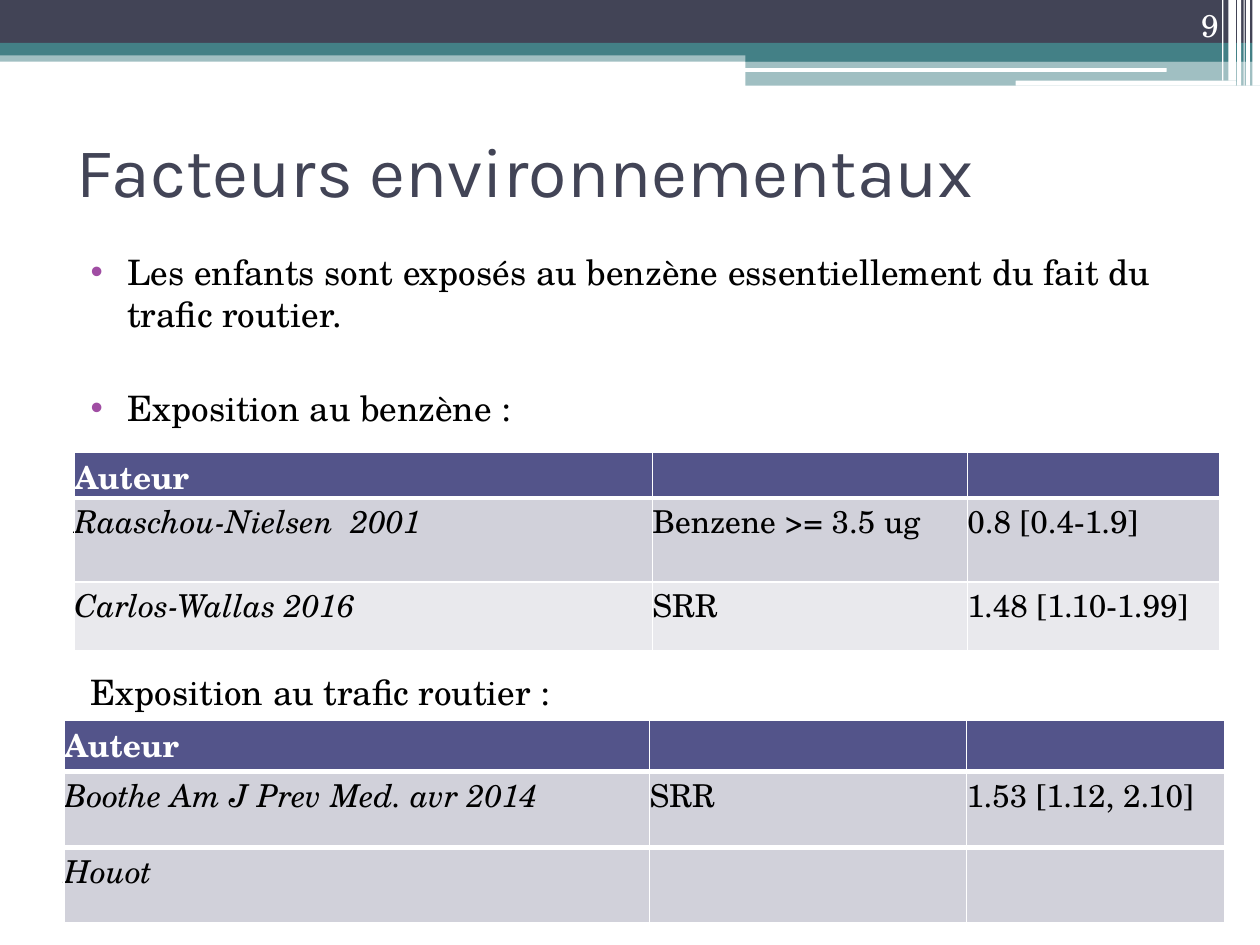
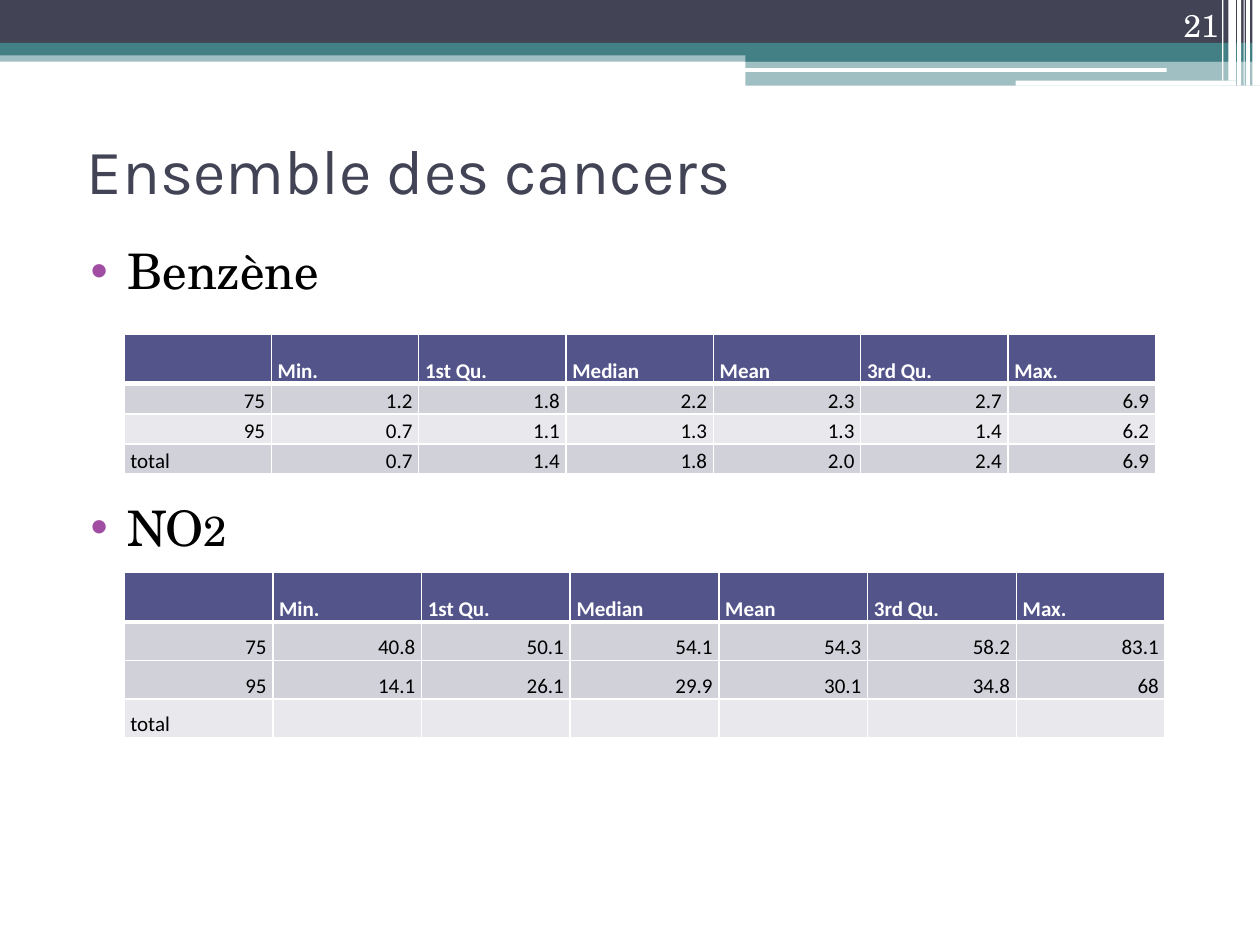
"""Build two slides on environmental exposure, with tables under a banded header."""
from lxml import etree
from pptx import Presentation
from pptx.dml.color import RGBColor
from pptx.enum.shapes import MSO_SHAPE
from pptx.enum.text import MSO_ANCHOR, MSO_AUTO_SIZE, PP_ALIGN
from pptx.oxml.ns import qn
from pptx.util import Pt

RECT, ROUND = MSO_SHAPE.RECTANGLE, MSO_SHAPE.ROUNDED_RECTANGLE
LEFT, RIGHT = PP_ALIGN.LEFT, PP_ALIGN.RIGHT
TOP, MID, LOW = MSO_ANCHOR.TOP, MSO_ANCHOR.MIDDLE, MSO_ANCHOR.BOTTOM
FIXED = MSO_AUTO_SIZE.NONE

INK, TEAL, WHITE, BLACK = "424456", "438086", "FFFFFF", "000000"
HEAD, DARK, PALE, DOT = "53548A", "D1D1DA", "E9E9ED", "A04DA3"
SANS, SERIF, GRID = "Karla", "TeX Gyre Schola", "Calibri"

BANDS = [
    (RECT, 0, 28.8, 720, 6.5, TEAL, 50),
    (RECT, 0, 0, 720, 24.5, INK, 100),
    (RECT, 0, 24.5, 720, 7.2, TEAL, 100),
    (RECT, 426, 28, 294, 7.2, TEAL, 100),
    (RECT, 426, 34.8, 294, 14.2, TEAL, 50),
    (ROUND, 425.5, 38.9, 241.2, 2.2, WHITE, 100),
    (ROUND, 580.3, 46.1, 126, 2.9, WHITE, 100),
]
STRIPS = [(715.7, 4.3, 49), (712.1, 2.2, 49), (710.6, 0.7, 49),
          (707, 2.2, 49), (702, 4.3, 46.1), (698.4, 0.7, 46.1)]
BANDS += [(RECT, x, 0, w, h, WHITE, 100) for x, w, h in STRIPS]

STATS = ["", "Min.", "1st Qu.", "Median", "Mean", "3rd Qu.", "Max."]
PROSE = dict(font=SERIF, size=18, pad=0, anchor=TOP, stat=False)
FIGURES = dict(font=GRID, size=12, pad=3.6, anchor=LOW, stat=True)

SLIDES = [
    dict(
        number="9", title="Facteurs environnementaux", left=36.7, size=40,
        top=139.5, text=20,
        body=[
            (["Les enfants sont exposés au benzène essentiellement "
              "du fait du trafic routier."], 0, True),
            (["Exposition au benzène :"], 30, True),
            (["Exposition au trafic routier :"], 138, False),
        ],
        tables=[
            dict(PROSE, at=(42.5, 258.5), cols=[330.3, 180, 144.3],
                 rows=[26, 48, 39.6], edges=[1, 3, 1, 1],
                 fills=[HEAD, DARK, PALE], lead=1, cells=[
                     ["Auteur", "", ""],
                     ["Raaschou-Nielsen  2001", "Benzene >= 3.5 ug",
                      "0.8 [0.4-1.9]"],
                     ["Carlos-Wallas 2016", "SRR", "1.48 [1.10-1.99]"]]),
            dict(PROSE, at=(36.7, 411.8), cols=[334.5, 181.2, 147.3],
                 rows=[29.2, 43.2, 43.2], edges=[1, 3, 3, 1],
                 fills=[HEAD, DARK, DARK], lead=1, cells=[
                     ["Auteur", "", ""],
                     ["Boothe Am J Prev Med. avr 2014", "SRR",
                      "1.53 [1.12, 2.10]"],
                     ["Houot", "", ""]]),
        ]),
    dict(
        number="21", title="Ensemble des cancers", left=42.5, size=36,
        top=134, text=28,
        body=[(["Benzène"], 0, True), (["NO", "2"], 113, True)],
        tables=[
            dict(FIGURES, at=(70.9, 190.8), cols=[84.2] * 7,
                 rows=[28.5] + [17.2] * 3, edges=[1, 3, 1, 1, 1],
                 fills=[HEAD, DARK, PALE, DARK], lead=1.15, cells=[
                     STATS,
                     ["75", "1.2", "1.8", "2.2", "2.3", "2.7", "6.9"],
                     ["95", "0.7", "1.1", "1.3", "1.3", "1.4", "6.2"],
                     ["total", "0.7", "1.4", "1.8", "2.0", "2.4", "6.9"]]),
            dict(FIGURES, at=(70.9, 327), cols=[85] * 7,
                 rows=[28.5] + [22] * 3, edges=[1, 3, 1, 1, 1],
                 fills=[HEAD, DARK, DARK, PALE], lead=1.5, cells=[
                     STATS,
                     ["75", "40.8", "50.1", "54.1", "54.3", "58.2", "83.1"],
                     ["95", "14.1", "26.1", "29.9", "30.1", "34.8", "68"],
                     ["total"] + [""] * 6]),
        ]),
]


def rgb(code):
    return RGBColor.from_string(code)


def sub(node, tag, **attrs):
    return etree.SubElement(node, qn(tag), attrs)


def style(run, font, size, color, bold=False, slant=False):
    face = run.font
    face.name, face.size = font, Pt(size)
    face.bold, face.italic = bold, slant
    face.color.rgb = rgb(color)


def place(shape, *box):
    shape.left, shape.top, shape.width, shape.height = map(Pt, box)


def add_bands(slide, layout):
    for kind, x, y, w, h, color, alpha in BANDS:
        band = slide.shapes.add_shape(kind, Pt(x), Pt(y), Pt(w), Pt(h))
        band.shadow.inherit = False
        band.fill.solid()
        band.fill.fore_color.rgb = rgb(color)
        band.line.fill.background()
        if alpha < 100:
            tone = band.element.spPr.find(".//" + qn("a:srgbClr"))
            sub(tone, "a:alpha", val=str(alpha * 1000))
        layout.shapes.element.append(band.element)


def add_title(slide, data):
    title = slide.shapes.title
    place(title, data["left"], 54.7, 648, 84.3)
    frame = title.text_frame
    frame.text = data["title"]
    frame.auto_size, frame.vertical_anchor = FIXED, MID
    para = frame.paragraphs[0]
    para.alignment = LEFT
    style(para.runs[0], SANS, data["size"], INK)


def add_body(slide, data):
    body = slide.placeholders[1]
    place(body, 36.7, data["top"], 648, 340.6)
    frame = body.text_frame
    frame.auto_size, frame.vertical_anchor = FIXED, TOP
    for i, (parts, gap, dot) in enumerate(data["body"]):
        para = frame.add_paragraph() if i else frame.paragraphs[0]
        para.space_before = Pt(gap)
        props = para._p.get_or_add_pPr()
        props.set("marL", str(Pt(28.8)))
        props.set("indent", str(Pt(-20.9)))
        if dot:
            sub(sub(props, "a:buClr"), "a:srgbClr", val=DOT)
            sub(props, "a:buFont", typeface="Arial")
            sub(props, "a:buChar", char="•")
        else:
            sub(props, "a:buNone")
        for j, part in enumerate(parts):
            run = para.add_run()
            run.text = part
            style(run, SERIF, data["text"] - 4 * j, BLACK)


def add_number(slide, text):
    box = slide.shapes.add_textbox(Pt(643.7), Pt(0), Pt(59.8), Pt(28.8))
    frame = box.text_frame
    frame.text = text
    frame.word_wrap, frame.vertical_anchor = True, LOW
    para = frame.paragraphs[0]
    para.alignment = RIGHT
    style(para.runs[0], SERIF, 18, WHITE)


def set_edges(cell, top, low):
    props = cell._tc.get_or_add_tcPr()
    for side, width in zip("LRTB", (1, 1, top, low)):
        line = sub(props, "a:ln" + side, w=str(Pt(width)))
        sub(sub(line, "a:solidFill"), "a:srgbClr", val=WHITE)


def fill_cell(cell, text, data, r, c):
    set_edges(cell, *data["edges"][r:r + 2])
    cell.fill.solid()
    cell.fill.fore_color.rgb = rgb(data["fills"][r])
    cell.margin_left = cell.margin_right = Pt(data["pad"])
    cell.margin_top = cell.margin_bottom = 0
    cell.vertical_anchor = data["anchor"]
    cell.text = text
    para = cell.text_frame.paragraphs[0]
    stat = data["stat"]
    para.alignment = RIGHT if stat and r and text != "total" else LEFT
    if stat:
        para.line_spacing = data["lead"] if r and c else 1.15
    if not text:
        sub(para._p, "a:endParaRPr", sz=str(data["size"] * 100))
    for run in para.runs:
        style(run, data["font"], data["size"], BLACK if r else WHITE,
              r == 0, r > 0 and c == 0 and not stat)


def add_grid(slide, data):
    cols, rows = data["cols"], data["rows"]
    x, y = data["at"]
    table = slide.shapes.add_table(len(rows), len(cols), Pt(x), Pt(y),
                                   Pt(sum(cols)), Pt(sum(rows))).table
    for col, width in zip(table.columns, cols):
        col.width = Pt(width)
    for row, height in zip(table.rows, rows):
        row.height = Pt(height)
    for r, line in enumerate(data["cells"]):
        for c, text in enumerate(line):
            fill_cell(table.cell(r, c), text, data, r, c)


deck = Presentation()
deck.slide_width, deck.slide_height = Pt(720), Pt(540)
layout = deck.slide_layouts[1]
for i, data in enumerate(SLIDES):
    slide = deck.slides.add_slide(layout)
    if i == 0:
        add_bands(slide, layout)
    add_title(slide, data)
    add_body(slide, data)
    add_number(slide, data["number"])
    for grid in data["tables"]:
        add_grid(slide, grid)
deck.save("out.pptx")
